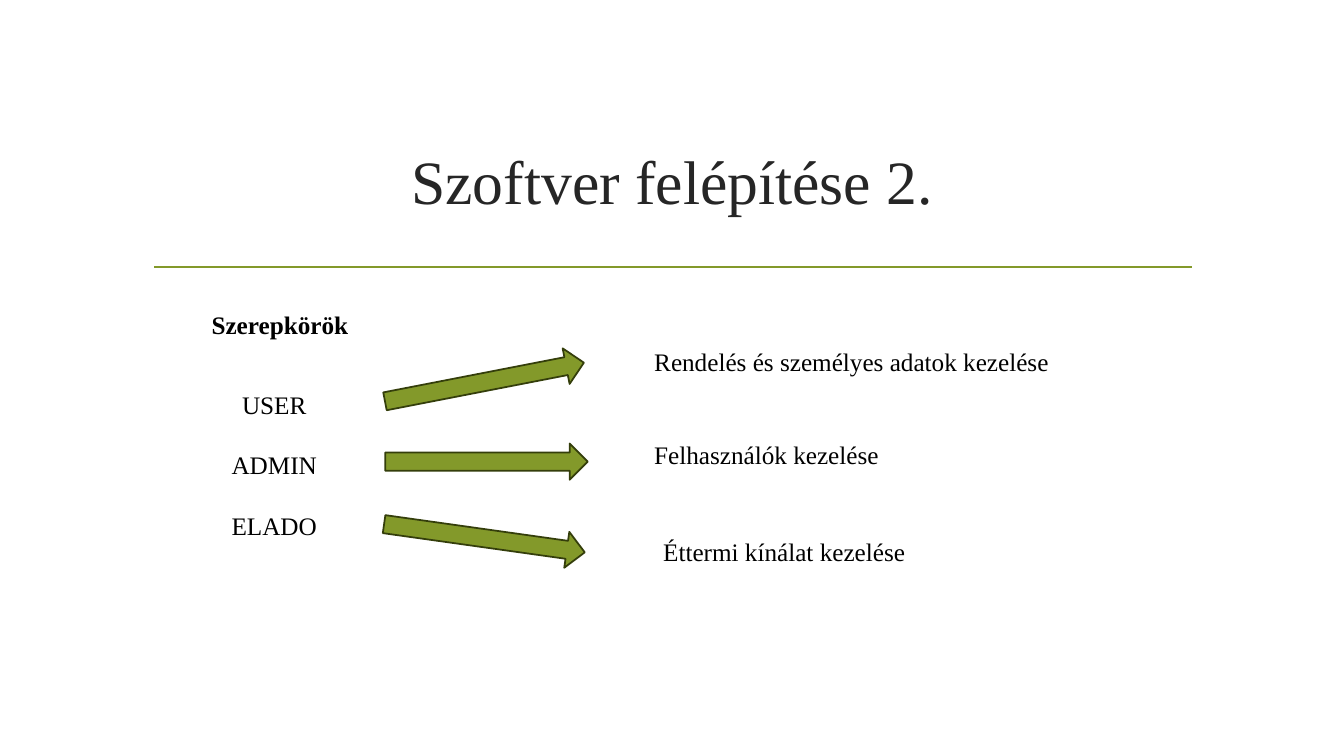
from pptx import Presentation
from pptx.dml.color import RGBColor
from pptx.enum import shapes, text
from pptx.util import Inches, Pt
from lxml import etree
from pptx.oxml import ns

COLORS = {"title": "262626", "text": "000000", "green": "83992A", "edge": "343E0B"}
FONT = "Times New Roman"
LEFT, CENTER = text.PP_ALIGN.LEFT, text.PP_ALIGN.CENTER

TITLE = "Szoftver felépítése 2."
HEADING = "Szerepkörök"
ROLES = ["USER", "ADMIN", "ELADO"]
# text, left, top, width, height
TASKS = [
    ("Rendelés és személyes adatok kezelése", 6.39, 3.39, 4.62, 0.7),
    ("Felhasználók kezelése", 6.39, 4.31, 4.09, 0.4),
    ("Éttermi kínálat kezelése", 6.48, 5.27, 3, 0.7),
]
# left, top, rotation
ARROWS = [(3.8, 3.61, 349), (3.82, 4.4, 0), (3.8, 5.16, 8)]
ARROW_SIZE = (2.01, 0.36)


def color(name):
    return RGBColor.from_string(COLORS[name])


def add_text(slide, box, lines, size=18, tone="text", bold=False,
             align=LEFT, anchor=text.MSO_ANCHOR.TOP, gap=1):
    """Add one paragraph per line; gap is the line spacing after the first."""
    frame = slide.shapes.add_textbox(*map(Inches, box)).text_frame
    frame.word_wrap = True
    frame.vertical_anchor = anchor
    for i, line in enumerate(lines):
        para = frame.add_paragraph() if i else frame.paragraphs[0]
        para.alignment = align
        if i:
            para.line_spacing = gap
        run = para.add_run()
        run.text = line
        font = run.font
        font.name, font.size, font.bold = FONT, Pt(size), bold
        font.color.rgb = color(tone)


def add_rule(slide, left, right, top):
    rule = slide.shapes.add_connector(
        shapes.MSO_CONNECTOR.STRAIGHT, *map(Inches, (left, top, right, top)))
    rule.line.color.rgb = color("green")
    rule.line.width = Pt(1.25)
    etree.SubElement(rule._element.spPr, ns.qn("a:effectLst"))


def add_arrow(slide, left, top, turn):
    arrow = slide.shapes.add_shape(
        shapes.MSO_SHAPE.RIGHT_ARROW, *map(Inches, (left, top, *ARROW_SIZE)))
    arrow.rotation = turn
    arrow.shadow.inherit = False
    arrow.fill.solid()
    arrow.fill.fore_color.rgb = color("green")
    arrow.line.color.rgb = color("edge")
    arrow.line.width = Pt(1.25)


def main():
    deck = Presentation()
    deck.slide_width, deck.slide_height = Inches(13.33), Inches(7.5)
    slide = deck.slides.add_slide(deck.slide_layouts[6])
    add_rule(slide, 1.53, 11.82, 2.65)
    add_text(slide, (1.42, 1.07, 10.5, 1.43), [TITLE], size=44, tone="title",
             align=CENTER, anchor=text.MSO_ANCHOR.MIDDLE)
    add_text(slide, (2, 3.02, 3, 0.4), [HEADING], bold=True)
    add_text(slide, (1.22, 3.81, 3, 1.6), ROLES, align=CENTER, gap=2.0)
    for arrow in ARROWS:
        add_arrow(slide, *arrow)
    for task, *box in TASKS:
        add_text(slide, box, [task])
    deck.save("out.pptx")


if __name__ == "__main__":
    main()
